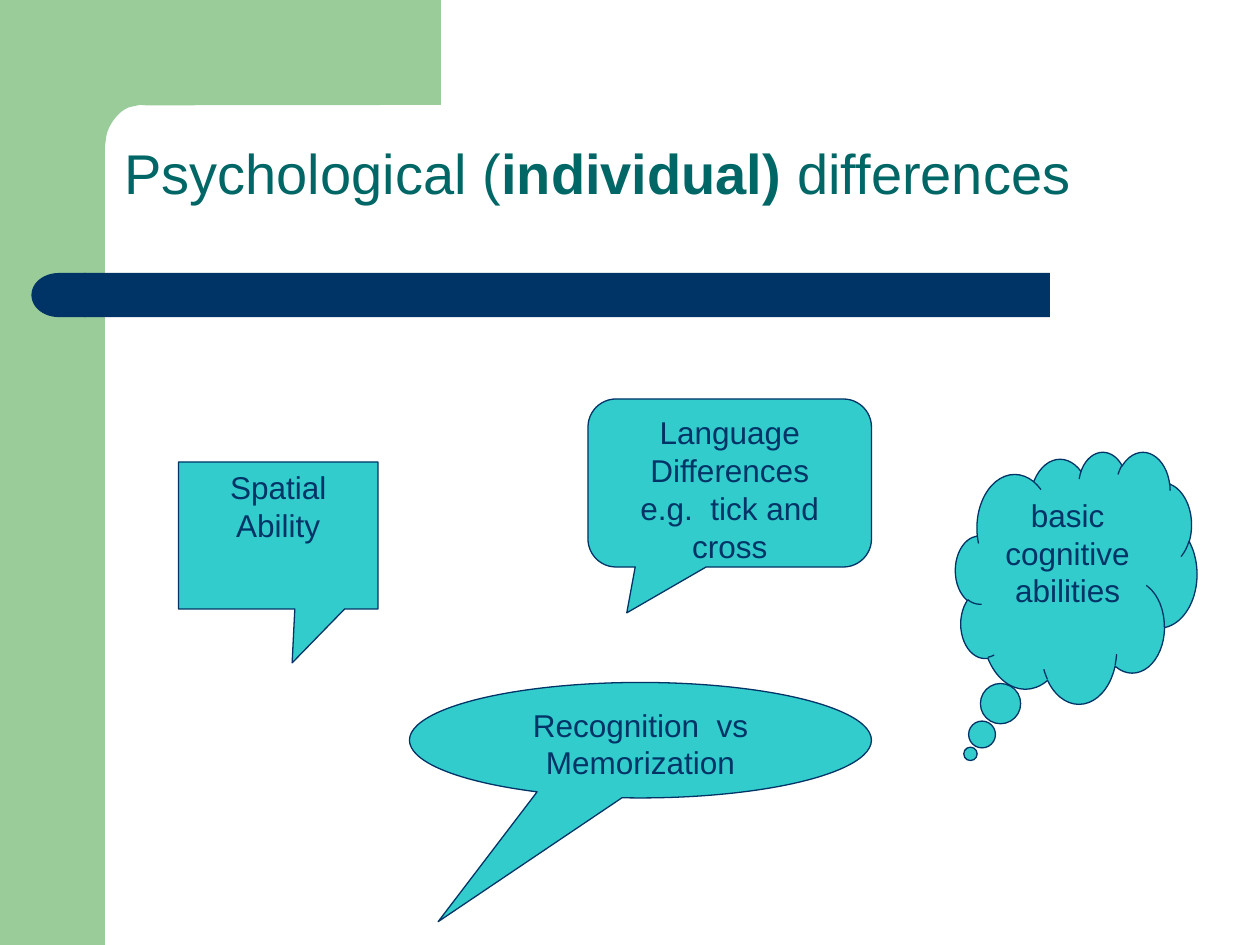
"""Build the slide on psychological (individual) differences."""
from pptx import Presentation
from pptx.dml.color import RGBColor
from pptx.enum.shapes import MSO_SHAPE as Shape
from pptx.enum.text import MSO_ANCHOR as Anchor, PP_ALIGN as Align
from pptx.oxml.ns import qn
from pptx.util import Pt

COLORS = {"green": "99CC99", "navy": "003366", "teal": "006666", "aqua": "33CCCC"}
FONT = "Arial"

TITLE = [[("Psychological (", False), ("individual)", True), (" differences", False)]]
CALLOUTS = [
    (Shape.RECTANGULAR_CALLOUT, (102, 264, 114, 84), (0.07, 0.867), ["Spatial Ability"]),
    (Shape.ROUNDED_RECTANGULAR_CALLOUT, (336, 228, 162, 96), (-0.363, 0.773, 0.167),
     ["Language Differences", "e.g.  tick and cross"]),
    (Shape.OVAL_CALLOUT, (234, 390, 264, 66), (-0.438, 1.572), ["Recognition  vs Memorization"]),
    (Shape.CLOUD_CALLOUT, (546, 258, 138, 144), (-0.438, 0.7), ["basic cognitive abilities"]),
]
BANDS = [
    (Shape.RECTANGLE, (48, 156, 552, 25.2), False),
    (Shape.FLOWCHART_DELAY, (18, 156, 31, 25.2), True),
]
CORNER_START = [(252, 0), (252, 60), (83.5, 60.2), (79.9, 60)]
CORNER_CURVES = [
    [(74.2, 61.2), (72, 61.9), (69.1, 63.7), (67, 66.2)],
    [(67, 66.2), (64.8, 68.4), (62.6, 72), (61.6, 74.9)],
    [(61.6, 74.9), (60.5, 77.8), (60.5, 80.6), (60, 83.5)],
]
CORNER_END = [(60, 92), (36, 92), (36, 0)]


def color(name):
    return RGBColor.from_string(COLORS[name])


def paint(shape, fill, line=None):
    shape.shadow.inherit = False
    shape.fill.solid()
    shape.fill.fore_color.rgb = color(fill)
    if line:
        shape.line.color.rgb = color(line)
        shape.line.width = Pt(0.75)
    else:
        shape.line.fill.background()


def add_preset(shapes, preset, box, fill, line=None):
    shape = shapes.add_shape(preset, *map(Pt, box))
    paint(shape, fill, line)
    return shape


def write(shape, paragraphs, size, ink, align=Align.LEFT, anchor=Anchor.TOP, spacing=None):
    frame = shape.text_frame
    frame.word_wrap = True
    frame.vertical_anchor = anchor
    for index, runs in enumerate(paragraphs):
        paragraph = frame.add_paragraph() if index else frame.paragraphs[0]
        paragraph.alignment = align
        paragraph.line_spacing = spacing
        for text, bold in runs:
            run = paragraph.add_run()
            run.text = text
            run.font.name = FONT
            run.font.size = Pt(size)
            run.font.bold = bold
            run.font.color.rgb = color(ink)


def bezier(points, steps=8):
    for step in range(steps + 1):
        t = step / steps
        weights = ((1 - t) ** 3, 3 * t * (1 - t) ** 2, 3 * t * t * (1 - t), t ** 3)
        yield tuple(sum(w * p[axis] for w, p in zip(weights, points)) for axis in (0, 1))


def add_corner(shapes):
    arc = [point for curve in CORNER_CURVES for point in bezier(curve)]
    outline = [(Pt(x), Pt(y)) for x, y in CORNER_START + arc + CORNER_END]
    builder = shapes.build_freeform(*outline[0])
    builder.add_line_segments(outline[1:], close=True)
    paint(builder.convert_to_shape(), "green")


def main():
    deck = Presentation()
    deck.slide_width, deck.slide_height = Pt(720), Pt(540)
    shapes = deck.slides.add_slide(deck.slide_layouts[6]).shapes

    add_preset(shapes, Shape.RECTANGLE, (0, 0, 60, 540), "green")
    add_corner(shapes)
    for preset, box, flipped in BANDS:
        band = add_preset(shapes, preset, box, "navy")
        if flipped:
            band._element.spPr.find(qn("a:xfrm")).set("flipH", "1")

    title = shapes.add_textbox(*map(Pt, (64, 64, 615.6, 57.6)))
    write(title, TITLE, 32, "teal", anchor=Anchor.BOTTOM, spacing=0.9)

    for preset, box, adjustments, lines in CALLOUTS:
        callout = add_preset(shapes, preset, box, "aqua", "navy")
        for index, value in enumerate(adjustments):
            callout.adjustments[index] = value
        write(callout, [[(line, False)] for line in lines], 18, "navy", align=Align.CENTER)

    deck.save("out.pptx")


if __name__ == "__main__":
    main()
